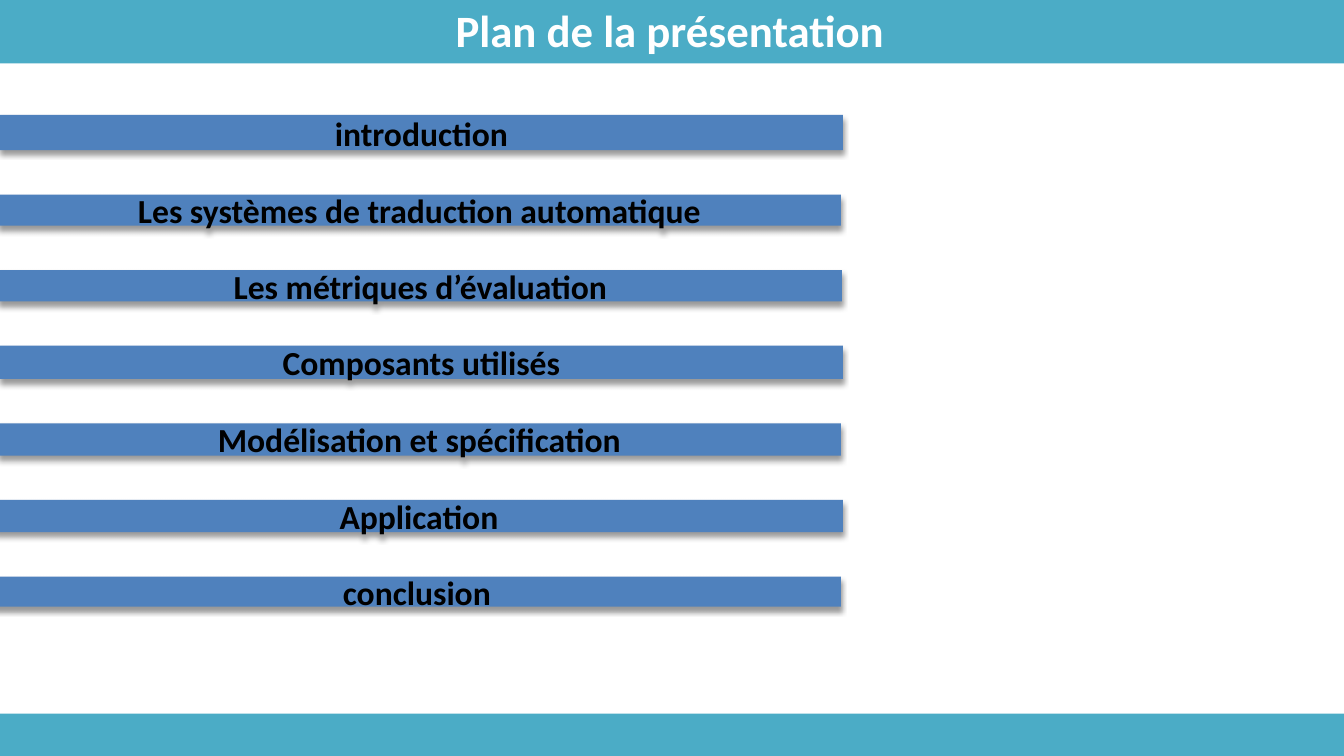
from dataclasses import dataclass

from lxml.etree import SubElement
from pptx import Presentation
from pptx.dml.color import RGBColor
from pptx.enum.shapes import MSO_SHAPE as Preset
from pptx.enum.text import MSO_ANCHOR as Anchor, MSO_AUTO_SIZE as AutoSize, PP_ALIGN as Align
from pptx.oxml.ns import qn
from pptx.util import Inches, Pt


@dataclass(frozen=True)
class Theme:
    font: str = "Calibri"
    band: str = "4BACC6"
    bar: str = "4F81BD"
    title_color: str = "FFFFFF"
    bar_text: str = "000000"
    shadow: str = "000000"
    title_size: int = 32
    bar_size: int = 24


THEME = Theme()
WIDTH, HEIGHT = Inches(13.33), Inches(7.5)
COLUMNS, ROWS = 1333, 750
FIRST_ROW, GAP_ROWS = 114, 44
BAND_COLUMNS = 1544

SECTIONS = [
    ("introduction", 0, 836, 35),
    ("Les systèmes de traduction automatique", -2, 836, 31),
    ("Les métriques d’évaluation", -1, 836, 31),
    ("Composants utilisés", 0, 836, 33),
    ("Modélisation et spécification", -2, 836, 32),
    ("Application", -5, 841, 32),
    ("conclusion", -7, 841, 30),
]


def grid_box(column, row, columns, rows):
    across, down = WIDTH / COLUMNS, HEIGHT / ROWS
    return [round(n) for n in (column * across, row * down, columns * across, rows * down)]


def apply_format(target, values):
    for name, value in values.items():
        setattr(target, name, value)


def write_text(shape, wording, size, color, anchor):
    frame = shape.text_frame
    frame.text = wording
    apply_format(frame, {
        "word_wrap": True, "auto_size": AutoSize.NONE, "vertical_anchor": anchor,
        "margin_left": Inches(0.1), "margin_right": Inches(0.1),
        "margin_top": Inches(0.05), "margin_bottom": Inches(0.05),
    })
    paragraph = frame.paragraphs[0]
    paragraph.alignment = Align.CENTER
    run_font = paragraph.runs[0].font
    apply_format(run_font, {"name": THEME.font, "size": Pt(size), "bold": True})
    run_font.color.rgb = RGBColor.from_string(color)


def add_block(slide, box, color):
    block = slide.shapes.add_shape(Preset.RECTANGLE, *box)
    block.shadow.inherit = False
    block.fill.solid()
    block.fill.fore_color.rgb = RGBColor.from_string(color)
    block.line.fill.background()
    return block


def cast_shadow(block):
    effects = block.element.spPr.find(qn("a:effectLst"))
    shadow = SubElement(effects, qn("a:outerShdw"), blurRad=str(Pt(4)), dist=str(Pt(3)),
                        dir="5400000", rotWithShape="0")
    tint = SubElement(shadow, qn("a:srgbClr"), val=THEME.shadow)
    SubElement(tint, qn("a:alpha"), val="40000")


def add_title(slide, wording):
    title = slide.shapes.title
    left, top, width, height = grid_box(323, -2, 683, 63)
    apply_format(title, {"left": left, "top": top, "width": width, "height": height})
    write_text(title, wording, THEME.title_size, THEME.title_color, Anchor.TOP)
    title.element.getparent().append(title.element)


def add_sections(slide):
    row = FIRST_ROW
    for wording, column, columns, rows in SECTIONS:
        bar = add_block(slide, grid_box(column, row, columns, rows), THEME.bar)
        cast_shadow(bar)
        write_text(bar, wording, THEME.bar_size, THEME.bar_text, Anchor.MIDDLE)
        row += rows + GAP_ROWS


def main():
    deck = Presentation()
    apply_format(deck, {"slide_width": WIDTH, "slide_height": HEIGHT})
    slide = deck.slides.add_slide(deck.slide_layouts.get_by_name("Title Only"))
    for column, row, rows in ((0, 708, 42), (-48, -1, 64)):
        add_block(slide, grid_box(column, row, BAND_COLUMNS, rows), THEME.band)
    add_title(slide, "Plan de la présentation")
    add_sections(slide)
    deck.save("out.pptx")


if __name__ == "__main__":
    main()
